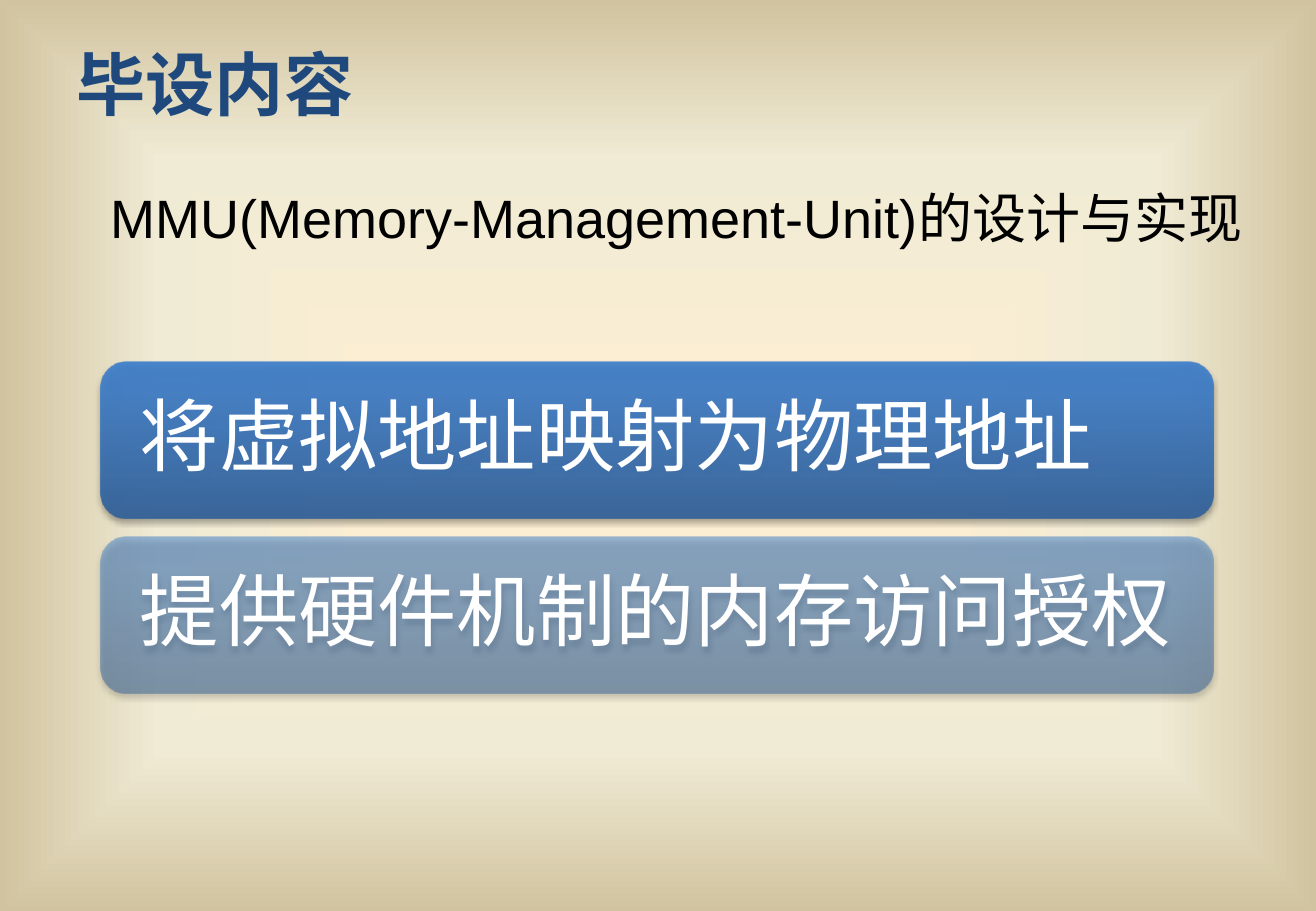
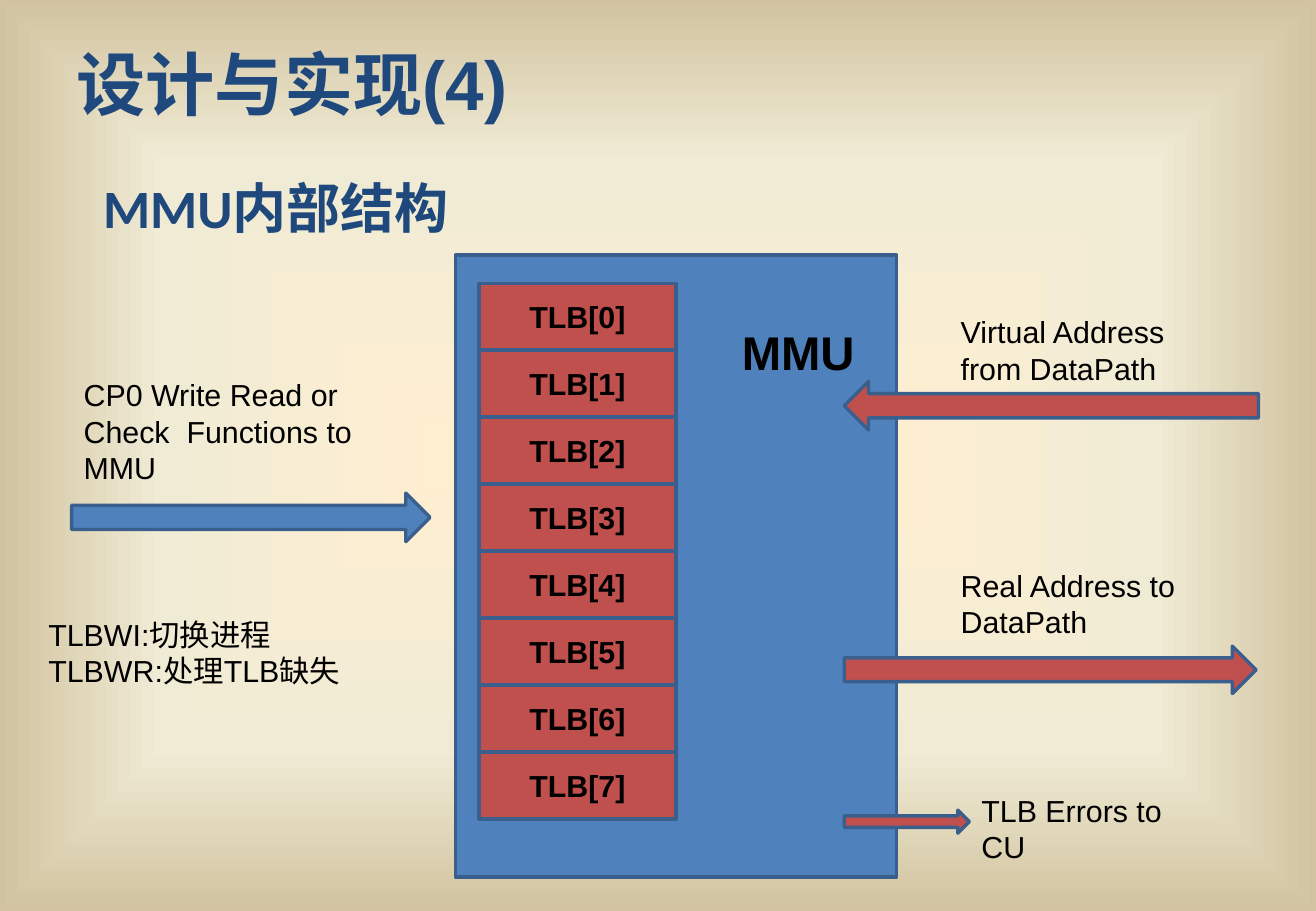
"""Build two slides on the design of a memory management unit."""
from dataclasses import dataclass
from typing import Optional

from lxml import etree
from pptx import Presentation
from pptx import util as u
from pptx.dml import color
from pptx.enum import shapes, text
from pptx.oxml import ns


@dataclass(frozen=True)
class Theme:
    ink: str = "000000"
    white: str = "FFFFFF"
    navy: str = "1F497D"
    blue: str = "4F81BD"
    red: str = "C0504D"
    outline: str = "3A5F8C"
    backdrop: tuple = ((0, "FFEFD1"), (65, "F0EBD5"), (100, "D1C39F"))
    card: tuple = ((0, "2F5F99"), (80, "3D7CC7"), (100, "3A7CCB"))
    latin: str = "Arial"
    heading: str = "Calibri"
    title_size: int = 41
    card_size: int = 47
    subtitle_size: int = 32
    unit_size: int = 28
    label_size: int = 18
    line_width: int = 2


@dataclass(frozen=True)
class Box:
    left: float
    top: float
    width: float
    height: float

    def lengths(self) -> tuple:
        return tuple(u.Pt(value) for value in (self.left, self.top, self.width, self.height))


@dataclass(frozen=True)
class Style:
    size: int
    font: str = Theme.latin
    color: str = Theme.ink
    bold: bool = False
    align: text.PP_ALIGN = text.PP_ALIGN.LEFT


@dataclass(frozen=True)
class Label:
    words: str
    box: Box
    style: Style


@dataclass(frozen=True)
class Arrow:
    box: Box
    fill: str
    rotation: int = 0


THEME = Theme()
TITLE_BOX = Box(38.2, 20.9, 663.1, 56.9)
TITLE = Style(THEME.title_size, color=THEME.navy, bold=True)
SUBTITLE = Style(THEME.subtitle_size)
SECTION = Style(THEME.subtitle_size, THEME.heading, THEME.navy, True)
CARD = Style(THEME.card_size, THEME.heading, THEME.white)
LABEL = Style(THEME.label_size)
CELL = Style(THEME.label_size, bold=True, align=text.PP_ALIGN.CENTER)
UNIT = Style(THEME.unit_size, bold=True, align=text.PP_ALIGN.CENTER)


def add_node(parent, tag: str, **attributes):
    return etree.SubElement(parent, ns.qn(tag), {key: str(value) for key, value in attributes.items()})


def set_gradient(parent, stops: tuple, opacity: int = 100, centred: bool = False) -> None:
    solid = parent.find(ns.qn("a:solidFill"))
    gradient = etree.Element(ns.qn("a:gradFill"), {"rotWithShape": "1"})
    stop_list = add_node(gradient, "a:gsLst")
    for position, value in stops:
        stop = add_node(stop_list, "a:gs", pos=position * 1000)
        stop_color = add_node(stop, "a:srgbClr", val=value)
        if opacity < 100:
            add_node(stop_color, "a:alpha", val=opacity * 1000)
    if centred:
        outline = add_node(gradient, "a:path", path="shape")
        add_node(outline, "a:fillToRect", l=50000, t=50000, r=50000, b=50000)
    else:
        add_node(gradient, "a:lin", ang=270 * 60000, scaled=0)
    parent.replace(solid, gradient)


def set_background(master) -> None:
    master.background.fill.solid()
    properties = master.element.find(".//" + ns.qn("p:bgPr"))
    set_gradient(properties, THEME.backdrop, centred=True)


def format_run(run, style: Style) -> None:
    run.font.size = u.Pt(style.size)
    run.font.name = style.font
    run.font.bold = style.bold
    run.font.color.rgb = color.RGBColor.from_string(style.color)


def write(text_frame, words: str, style: Style) -> None:
    text_frame.word_wrap = True
    text_frame.text = words
    for paragraph in text_frame.paragraphs:
        paragraph.alignment = style.align
        for run in paragraph.runs:
            format_run(run, style)


def add_titled_slide(presentation, words: str, number: str = "", font: str = THEME.latin):
    slide = presentation.slides.add_slide(presentation.slide_layouts[5])
    title = slide.shapes.title
    title.left, title.top, title.width, title.height = TITLE_BOX.lengths()
    title.text_frame.vertical_anchor = text.MSO_ANCHOR.TOP
    title.text_frame.auto_size = text.MSO_AUTO_SIZE.SHAPE_TO_FIT_TEXT
    write(title.text_frame, words, Style(TITLE.size, font, TITLE.color, TITLE.bold))
    if number:
        run = title.text_frame.paragraphs[0].add_run()
        run.text = number
        format_run(run, TITLE)
    return slide


def add_label(slide, label: Label) -> None:
    shape = slide.shapes.add_textbox(*label.box.lengths())
    write(shape.text_frame, label.words, label.style)
    shape.text_frame.auto_size = text.MSO_AUTO_SIZE.SHAPE_TO_FIT_TEXT


def add_block(slide, kind: shapes.MSO_SHAPE, box: Box, fill: str):
    shape = slide.shapes.add_shape(kind, *box.lengths())
    shape.shadow.inherit = False
    shape.fill.solid()
    shape.fill.fore_color.rgb = color.RGBColor.from_string(fill)
    shape.line.color.rgb = color.RGBColor.from_string(THEME.outline)
    shape.line.width = u.Pt(THEME.line_width)
    return shape


def add_card(slide, box: Box, words: str, opacity: int) -> None:
    shape = add_block(slide, shapes.MSO_SHAPE.ROUNDED_RECTANGLE, box, THEME.blue)
    shape.line.fill.background()
    properties = shape.element.spPr
    set_gradient(properties, THEME.card, opacity)
    shadow = add_node(properties.find(ns.qn("a:effectLst")), "a:outerShdw", blurRad=u.Pt(3.1),
                      dist=u.Pt(1.8), dir=90 * 60000, rotWithShape=0)
    add_node(add_node(shadow, "a:srgbClr", val=THEME.ink), "a:alpha", val=35000)
    text_frame = shape.text_frame
    write(text_frame, words, CARD)
    text_frame.margin_left = text_frame.margin_right = u.Pt(18.7)
    text_frame.vertical_anchor = text.MSO_ANCHOR.MIDDLE
    text_frame.paragraphs[0].line_spacing = 0.9


def add_arrow(slide, arrow: Arrow) -> None:
    shape = add_block(slide, shapes.MSO_SHAPE.RIGHT_ARROW, arrow.box, arrow.fill)
    shape.rotation = arrow.rotation


def build_content_slide(presentation) -> None:
    slide = add_titled_slide(presentation, "毕设内容")
    add_label(slide, Label("MMU(Memory-Management-Unit)的设计与实现", Box(58.3, 105.8, 694.8, 46), SUBTITLE))
    cards = (("将虚拟地址映射为物理地址", 90), ("提供硬件机制的内存访问授权", 50))
    for index, (words, opacity) in enumerate(cards):
        add_card(slide, Box(59.6, 214.4 + index * 103.7, 659.7, 93.2), words, opacity)


def add_tlb_entries(slide, count: int, first: Box) -> None:
    for index in range(count):
        box = Box(first.left, first.top + index * first.height, first.width, first.height)
        entry = add_block(slide, shapes.MSO_SHAPE.RECTANGLE, box, THEME.red)
        write(entry.text_frame, f"TLB[{index}]", CELL)
        entry.text_frame.vertical_anchor = text.MSO_ANCHOR.MIDDLE


def build_structure_slide(presentation, number: Optional[str] = "(4)") -> None:
    slide = add_titled_slide(presentation, "设计与实现", number, THEME.heading)
    add_block(slide, shapes.MSO_SHAPE.RECTANGLE, Box(270, 151.2, 261.4, 368.6), THEME.blue)
    add_tlb_entries(slide, 8, Box(284, 167.9, 116.6, 39.7))
    arrows = (
        Arrow(Box(42.5, 292.3, 212.4, 28.8), THEME.blue),
        Arrow(Box(500.4, 226.1, 245.5, 28.8), THEME.red, 180),
        Arrow(Box(500.4, 383, 244.1, 28.1), THEME.red),
        Arrow(Box(500.4, 480.2, 74.2, 13.7), THEME.red),
    )
    for arrow in arrows:
        add_arrow(slide, arrow)
    labels = (
        Label("MMU内部结构", Box(54, 100.1, 261.4, 46), SECTION),
        Label("MMU", Box(427, 187.9, 92.2, 41), UNIT),
        Label("Virtual Address from DataPath", Box(562.3, 182.2, 159.8, 51), LABEL),
        Label("CP0 Write Read or Check  Functions to MMU", Box(42.5, 219.6, 187.9, 72.7), LABEL),
        Label("TLBWI:切换进程\nTLBWR:处理TLB缺失", Box(21.6, 361.4, 233.3, 51), LABEL),
        Label("Real Address to DataPath", Box(562.3, 332.6, 159.8, 51), LABEL),
        Label("TLB Errors to CU", Box(574.6, 465.8, 147.6, 51), LABEL),
    )
    for label in labels:
        add_label(slide, label)


def main() -> None:
    presentation = Presentation()
    presentation.slide_width, presentation.slide_height = u.Pt(780), u.Pt(540)
    set_background(presentation.slide_master)
    build_content_slide(presentation)
    build_structure_slide(presentation)
    presentation.save("out.pptx")


main()
